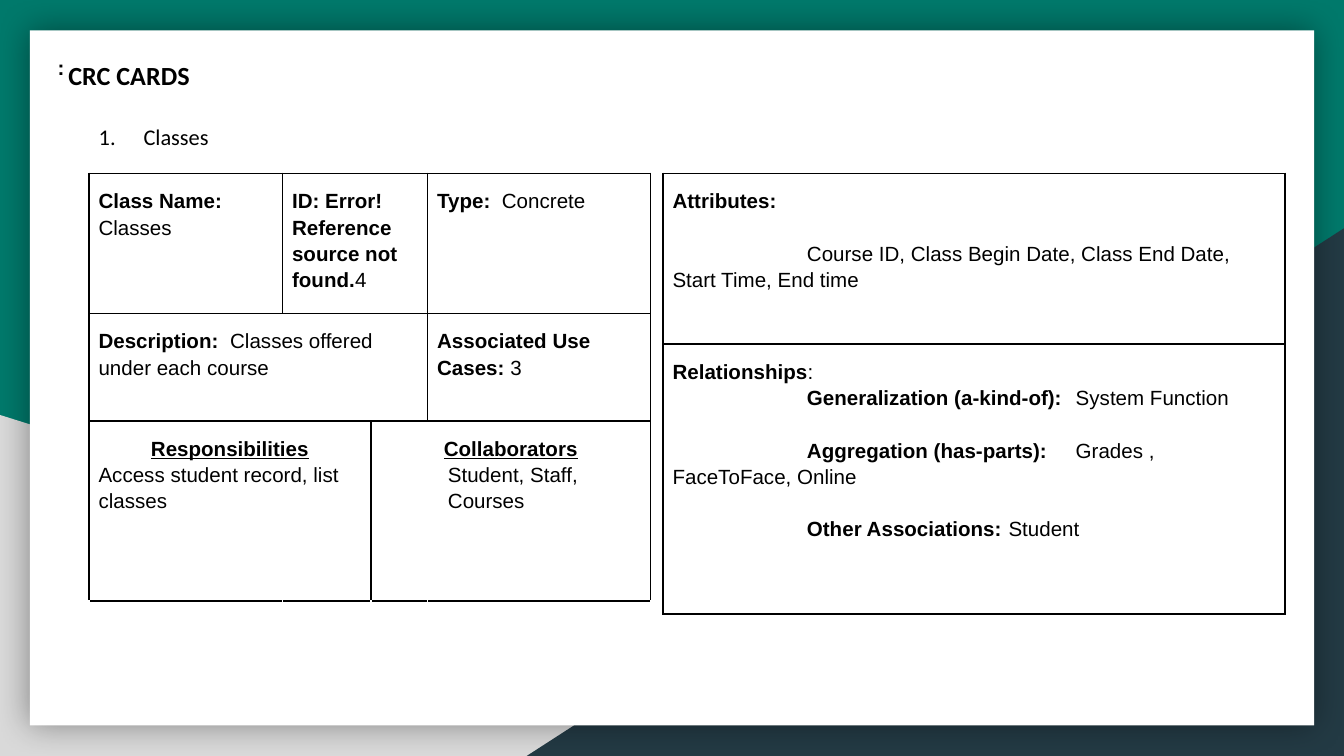
from lxml import etree
from pptx import Presentation
from pptx.dml.color import RGBColor
from pptx.enum.shapes import MSO_SHAPE
from pptx.enum.text import PP_ALIGN
from pptx.oxml.ns import qn
from pptx.util import Pt

RECT = MSO_SHAPE.RECTANGLE
WEDGE = MSO_SHAPE.RIGHT_TRIANGLE
CENTER = PP_ALIGN.CENTER
TEAL = RGBColor(0x00, 0x79, 0x6B)
GRAY = RGBColor(0xD9, 0xD9, 0xD9)
NAVY = RGBColor(0x23, 0x3A, 0x44)
WHITE = RGBColor(0xFF, 0xFF, 0xFF)
BLACK = RGBColor(0x00, 0x00, 0x00)


def child(node, tag, **attrs):
    return etree.SubElement(node, qn("a:" + tag), attrs)


class Card:
    def __init__(self, slide):
        self.slide = slide
        self.font = "Arial"
        self.size = 11
        self.lead = 1.15
        fill = slide.background.fill
        fill.solid()
        fill.fore_color.rgb = TEAL

    def shape(self, kind, box, color, flip=False, blur=0):
        item = self.slide.shapes.add_shape(kind, *map(Pt, box))
        item.shadow.inherit = False
        item.fill.solid()
        item.fill.fore_color.rgb = color
        item.line.fill.background()
        props = item.element.spPr
        if flip:
            props.xfrm.set("flipH", "1")
        if blur:
            glow = child(props.find(qn("a:effectLst")), "outerShdw",
                         blurRad=str(Pt(blur)), dist="0", dir="0",
                         algn="ctr", rotWithShape="0")
            child(child(glow, "srgbClr", val=str(BLACK)), "alpha", val="40000")

    def para(self, para, text, font=None, size=None, lead=None, gap=0,
             left=0, first=0, tab=0, number=False, align=None, under=None):
        props = para._p.get_or_add_pPr()
        props.set("marL", str(Pt(left)))
        props.set("indent", str(Pt(first)))
        if number:
            child(child(props, "buClr"), "srgbClr", val=str(BLACK))
            child(props, "buAutoNum", type="arabicPeriod")
        if tab:
            child(child(props, "tabLst"), "tab", pos=str(Pt(tab)), algn="l")
        para.line_spacing = lead or self.lead
        if gap:
            para.space_before = Pt(gap)
        if align:
            para.alignment = align
        para.font.name = font or self.font
        para.font.size = Pt(size or self.size)
        para.font.color.rgb = BLACK
        para.font.underline = under
        for spot, part in enumerate(text.split("*")):
            if part:
                run = para.add_run()
                run.text = part
                if spot % 2:
                    run.font.bold = True

    def fill(self, frame, paras):
        for spot, (text, style) in enumerate(paras):
            para = frame.add_paragraph() if spot else frame.paragraphs[0]
            self.para(para, text, **style)

    def text(self, box, text, top=7.2, **style):
        frame = self.slide.shapes.add_textbox(*map(Pt, box)).text_frame
        frame.word_wrap = True
        frame.margin_left = frame.margin_right = frame.margin_bottom = Pt(7.2)
        frame.margin_top = Pt(top)
        self.fill(frame, [(text, style)])

    def edge(self, cell, sides):
        props = cell._tc.get_or_add_tcPr()
        for spot, side in enumerate(sides):
            line = etree.Element(qn("a:ln" + side), w=str(Pt(1)))
            child(child(line, "solidFill"), "srgbClr", val=str(BLACK))
            props.insert(spot, line)

    def table(self, left, top, cols, rows, cells, spans=(), bare=()):
        grid = self.slide.shapes.add_table(
            len(rows), len(cols), Pt(left), Pt(top),
            Pt(sum(cols)), Pt(sum(rows))).table
        grid.first_row = grid.horz_banding = False
        for col, width in zip(grid.columns, cols):
            col.width = Pt(width)
        for num, (row, height) in enumerate(zip(grid.rows, rows)):
            row.height = Pt(height)
            for cell in row.cells:
                cell.fill.background()
                cell.margin_left = cell.margin_right = Pt(5.2)
                cell.margin_top = cell.margin_bottom = Pt(7.2)
                self.edge(cell, "T" if num in bare else "LRTB")
        for row, start, end in spans:
            grid.cell(row, start).merge(grid.cell(row, end))
        for (row, col), paras in cells.items():
            self.fill(grid.cell(row, col).text_frame, paras)


def main():
    deck = Presentation()
    deck.slide_width, deck.slide_height = Pt(720), Pt(405)
    card = Card(deck.slides.add_slide(deck.slide_layouts[6]))

    card.shape(WEDGE, (0, 222.3, 580.3, 182.7), GRAY)
    card.shape(WEDGE, (282.2, 122.3, 437.8, 282.7), NAVY, flip=True)
    card.shape(RECT, (16, 16.3, 688, 372.4), WHITE, blur=18)

    card.text((29.5, 24.5, 91.4, 36), "*CRC CARDS*",
              font="Calibri", size=14, lead=1.0)
    card.text((33.8, 59, 654.5, 317.5), "Classes", font="Calibri", size=12,
              lead=1.0, left=36, first=-24, number=True)
    card.text((23.8, 23.8, 101.5, 36), "*:*", top=3.8)

    head = dict(align=CENTER, under=True)
    card.table(
        47.6, 92.9, (103.7, 47.5, 30.2, 119.6), (70.5, 57.6, 96.5, 40.3),
        {
            (0, 0): [("*Class Name:* Classes", {})],
            (0, 1): [("*ID: Error! Reference source not found.*4", {})],
            (0, 3): [("*Type:*  Concrete", {})],
            (1, 0): [("*Description:*  Classes offered under each course", {})],
            (1, 3): [("*Associated Use Cases:* 3", {})],
            (2, 0): [("*Responsibilities*", head),
                     ("Access student record, list classes", {})],
            (2, 2): [("*Collaborators*", head),
                     ("Student, Staff, Courses", dict(left=36))],
        },
        spans=((0, 1, 2), (1, 0, 2), (2, 0, 1), (2, 2, 3)), bare=(3,))

    inset = dict(first=72)
    apart = dict(first=72, gap=14, tab=216)
    card.table(
        355.1, 92.9, (333.4,), (91.4, 144.7),
        {
            (0, 0): [("*Attributes:*", {}),
                     ("Course ID, Class Begin Date, Class End Date, "
                      "Start Time, End time", dict(inset, gap=14))],
            (1, 0): [("*Relationships*:", {}),
                     ("*Generalization (a-kind-of):*\tSystem Function",
                      dict(inset, tab=220.7)),
                     ("*Aggregation (has-parts):*\t"
                      "Grades , FaceToFace, Online", apart),
                     ("*Other Associations:*\tStudent", apart)],
        })

    deck.save("out.pptx")


if __name__ == "__main__":
    main()
